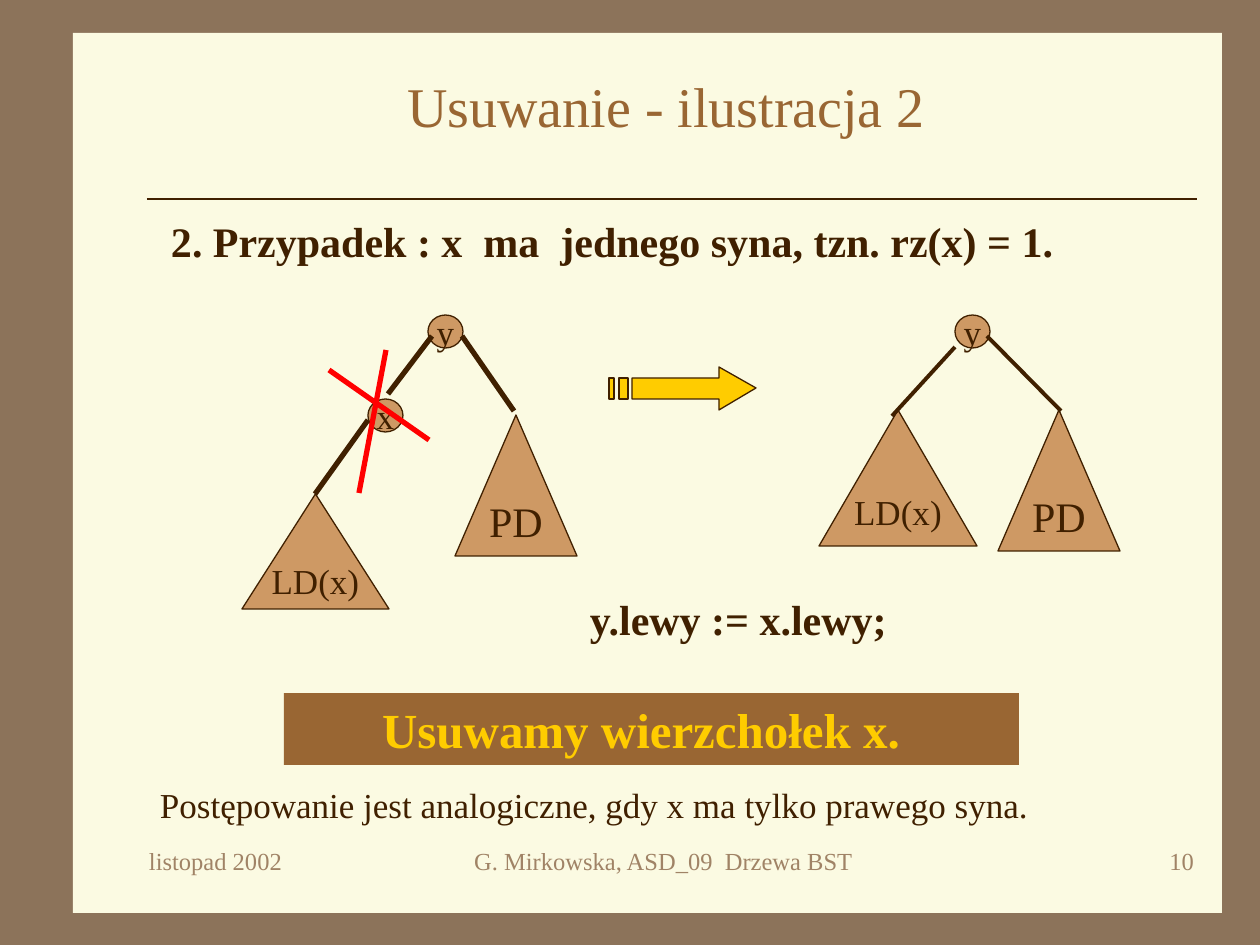
from lxml.etree import SubElement
from pptx import Presentation
from pptx.dml.color import RGBColor
from pptx.enum.shapes import MSO_CONNECTOR, MSO_SHAPE
from pptx.enum.text import MSO_ANCHOR, MSO_AUTO_SIZE, PP_ALIGN
from pptx.oxml.ns import qn
from pptx.util import Pt

SCALE = 914400 / 126
COLORS = {
    "frame": "8C735A",
    "paper": "FBFAE2",
    "ink": "402000",
    "brown": "996633",
    "tan": "CE9964",
    "gold": "FFCC00",
    "red": "FF0000",
    "muted": "A08366",
}
LEFT, CENTER, RIGHT = PP_ALIGN.LEFT, PP_ALIGN.CENTER, PP_ALIGN.RIGHT


def px(num):
    return round(num * SCALE)


def color(name):
    return RGBColor.from_string(COLORS[name])


def apply(item, values):
    for key, value in values.items():
        setattr(item, key, value)


def write(shape, text, size, ink="ink", bold=False, align=LEFT,
          anchor=MSO_ANCHOR.TOP, wrap=True, inset=13):
    frame = shape.text_frame
    apply(frame, {
        "word_wrap": wrap,
        "auto_size": MSO_AUTO_SIZE.NONE,
        "vertical_anchor": anchor,
        "margin_left": px(inset),
        "margin_right": px(13),
        "margin_top": px(6),
        "margin_bottom": px(6),
    })
    line = frame.paragraphs[0]
    line.text = text
    apply(line, {"alignment": align, "space_before": Pt(0)})
    apply(line.font, {"name": "Times New Roman", "size": Pt(size), "bold": bold})
    line.font.color.rgb = color(ink)


def paint(shape, fill, edge=None):
    shape.shadow.inherit = False
    shape.fill.solid()
    shape.fill.fore_color.rgb = color(fill)
    if edge:
        shape.line.color.rgb = color(edge)
        shape.line.width = Pt(0.75)
    else:
        shape.line.fill.background()


def add_form(slide, kind, box, fill, edge=None):
    shape = slide.shapes.add_shape(kind, *map(px, box))
    paint(shape, fill, edge)
    return shape


def add_label(slide, box, text, size, **style):
    write(slide.shapes.add_textbox(*map(px, box)), text, size, **style)


def add_node(slide, kind, box, text, size):
    shape = add_form(slide, kind, box, "tan", "ink")
    write(shape, text, size, align=CENTER, anchor=MSO_ANCHOR.MIDDLE, wrap=False)


def add_circle(slide, left, top, text):
    add_node(slide, MSO_SHAPE.OVAL, (left, top, 35, 33), text, 20)


def add_tree(slide, box, text, size):
    add_node(slide, MSO_SHAPE.ISOSCELES_TRIANGLE, box, text, size)


def add_line(slide, ends, width, ink="ink"):
    line = slide.shapes.add_connector(MSO_CONNECTOR.STRAIGHT, *map(px, ends))
    line.line.color.rgb = color(ink)
    line.line.width = Pt(width)
    SubElement(line._element.spPr, qn("a:effectLst"))


def add_arrow(slide):
    head = [(632, 378), (719, 378), (719, 367), (756, 388),
            (719, 410), (719, 399), (632, 399)]
    bars = [[(left, 378), (right, 378), (right, 399), (left, 399)]
            for left, right in ((609, 614), (619, 628))]
    pen = slide.shapes.build_freeform(*head[0], scale=SCALE)
    pen.add_line_segments(head[1:], close=True)
    for bar in bars:
        pen.move_to(*bar[0])
        pen.add_line_segments(bar[1:], close=True)
    paint(pen.convert_to_shape(), "gold", "ink")


def add_title(slide, box, text):
    title = slide.shapes.title
    apply(title, dict(zip(("left", "top", "width", "height"), map(px, box))))
    write(title, text, 32, "brown", align=CENTER, anchor=MSO_ANCHOR.MIDDLE)


def draw_before(slide):
    add_circle(slide, 428, 315, "y")
    add_circle(slide, 368, 399, "x")
    add_tree(slide, (455, 415, 122, 141), "PD", 24)
    for ends in ((432, 336, 388, 394), (462, 336, 514, 411), (368, 420, 315, 494)):
        add_line(slide, ends, 3)
    add_tree(slide, (242, 494, 147, 115), "LD(x)", 20)


def draw_after(slide):
    add_circle(slide, 955, 315, "y")
    add_tree(slide, (819, 410, 158, 136), "LD(x)", 20)
    for ends in ((955, 347, 892, 416), (987, 336, 1061, 411)):
        add_line(slide, ends, 2.25)
    add_tree(slide, (998, 410, 122, 141), "PD", 24)


def main():
    deck = Presentation()
    apply(deck, {"slide_width": px(1260), "slide_height": px(945)})
    slide = deck.slides.add_slide(deck.slide_layouts[5])
    slide.background.fill.solid()
    slide.background.fill.fore_color.rgb = color("frame")
    paper = add_form(slide, MSO_SHAPE.RECTANGLE, (73, 33, 1149, 880), "paper")
    slide.shapes.title._element.addprevious(paper._element)
    add_line(slide, (147, 199, 1197, 199), 0.75)
    add_title(slide, (136, 63, 1061, 84), "Usuwanie - ilustracja 2")
    add_label(slide, (158, 210, 1040, 63),
              "2. Przypadek : x  ma  jednego syna, tzn. rz(x) = 1.", 24, bold=True)
    banner = add_form(slide, MSO_SHAPE.RECTANGLE, (284, 693, 735, 72), "brown")
    write(banner, "Usuwamy wierzchołek x.", 28, "gold", bold=True, inset=98)
    add_arrow(slide)
    draw_before(slide)
    draw_after(slide)
    for ends in ((329, 370, 429, 440), (386, 350, 359, 493)):
        add_line(slide, ends, 3, "red")
    add_label(slide, (147, 777, 998, 55),
              "Postępowanie jest analogiczne, gdy x ma tylko prawego syna.", 20)
    add_label(slide, (577, 588, 368, 63), "y.lewy := x.lewy;", 24, bold=True)
    for left, width, text, align in (
        (136, 262, "listopad 2002", LEFT),
        (385, 557, "G. Mirkowska, ASD_09  Drzewa BST", CENTER),
        (945, 262, "10", RIGHT),
    ):
        add_label(slide, (left, 840, width, 63), text, 14, ink="muted", align=align)
    deck.save("out.pptx")


if __name__ == "__main__":
    main()
